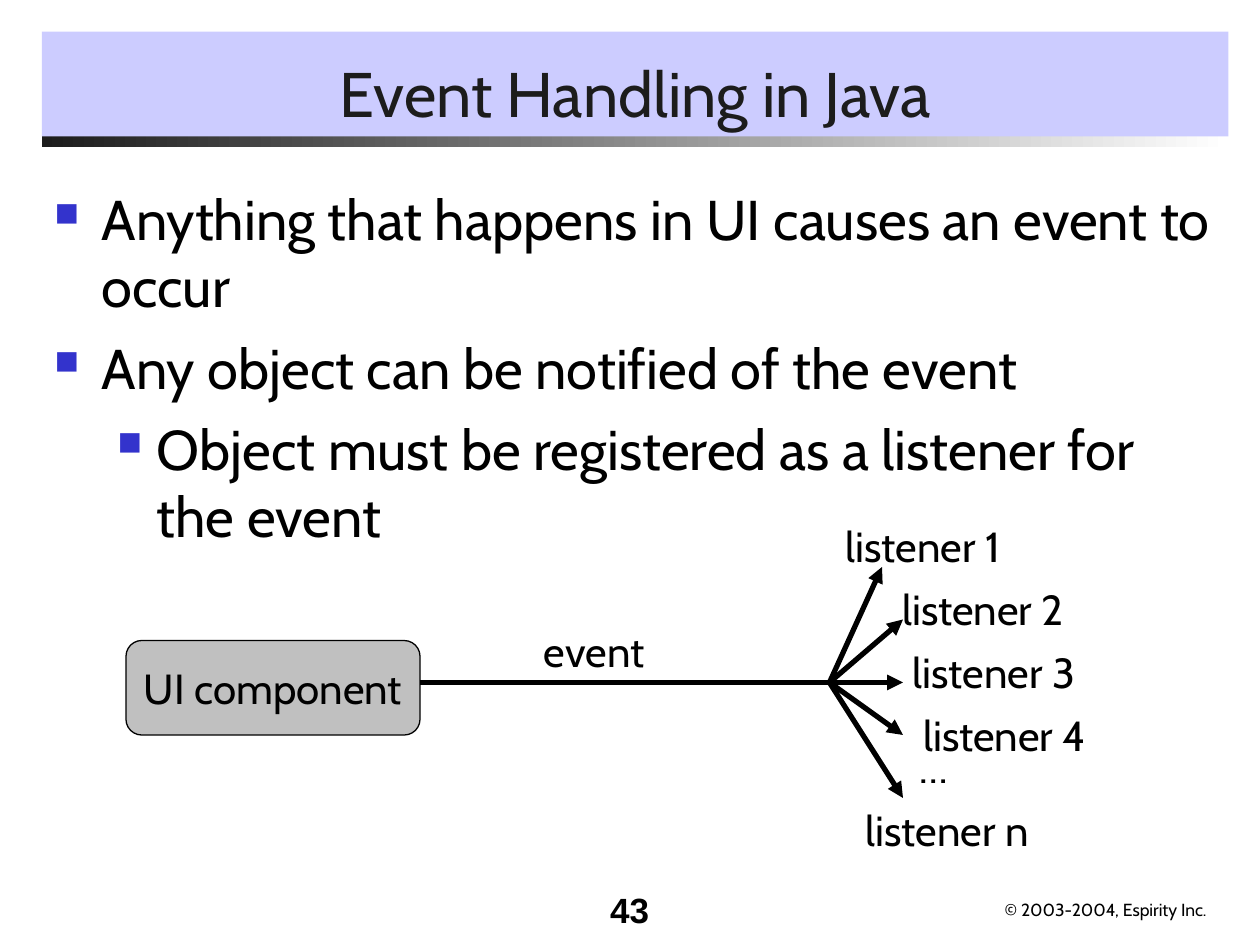
from dataclasses import dataclass

from lxml import etree
from pptx import Presentation
from pptx import util as u
from pptx.dml.color import RGBColor
from pptx.enum import shapes, text
from pptx.oxml import ns

PX = 9525


@dataclass(frozen=True)
class Theme:
    black: str = "000000"
    white: str = "FFFFFF"
    ink: str = "1C1C1C"
    band: str = "CCCCFF"
    bullet: str = "3333CC"
    component: str = "C0C0C0"
    font: str = "Cabin"
    number_font: str = "Arial"
    title: int = 36
    body: int = 32
    label: int = 24
    number: int = 20
    footer: int = 10
    thin: float = 0.75
    thick: float = 3


def rgb(color):
    return RGBColor.from_string(color)


def add_child(parent, tag, **attributes):
    return etree.SubElement(parent, ns.qn(tag), attributes)


class Deck:
    def __init__(self, theme, width, height):
        self.theme = theme
        self.presentation = Presentation()
        self.presentation.slide_width = width * PX
        self.presentation.slide_height = height * PX
        self.slide = self.presentation.slides.add_slide(self.presentation.slide_layouts[6])

    def style(self, paragraph, size, color=None, font=None, bold=False):
        paragraph.font.name = font or self.theme.font
        paragraph.font.size = u.Pt(size)
        paragraph.font.color.rgb = rgb(color or self.theme.black)
        paragraph.font.bold = bold

    def set_text(self, shape, content, size, align=text.PP_ALIGN.LEFT,
                 anchor=text.MSO_ANCHOR.TOP, **style):
        shape.text_frame.word_wrap = True
        shape.text_frame.vertical_anchor = anchor
        paragraph = shape.text_frame.paragraphs[0]
        paragraph.text = content
        paragraph.alignment = align
        self.style(paragraph, size, **style)

    def box(self, kind, left, top, width, height, fill=None, line=None):
        shape = self.slide.shapes.add_shape(
            kind, left * PX, top * PX, width * PX, height * PX)
        shape.shadow.inherit = False
        if fill:
            shape.fill.solid()
            shape.fill.fore_color.rgb = rgb(fill)
        if line:
            shape.line.color.rgb = rgb(line)
            shape.line.width = u.Pt(self.theme.thin)
        else:
            shape.line.fill.background()
        return shape

    def gradient_bar(self, left, top, width, height, colors):
        shape = self.box(shapes.MSO_SHAPE.RECTANGLE, left, top, width, height)
        shape.fill.gradient()
        shape.fill.gradient_angle = 0
        for stop, color in zip(shape.fill.gradient_stops, colors):
            stop.color.rgb = rgb(color)

    def label(self, content, left, top, width, height=48, size=None, **style):
        shape = self.slide.shapes.add_textbox(left * PX, top * PX, width * PX, height * PX)
        self.set_text(shape, content, size or self.theme.label, **style)

    def bullets(self, items, left, top, width, height):
        shape = self.slide.shapes.add_textbox(left * PX, top * PX, width * PX, height * PX)
        frame = shape.text_frame
        frame.word_wrap = True
        indents = ((36, 36), (78, 30))
        for index, (level, content) in enumerate(items):
            paragraph = frame.add_paragraph() if index else frame.paragraphs[0]
            paragraph.text = content
            paragraph.level = level
            paragraph.space_before = u.Pt(8 if index else 0)
            margin, hanging = indents[level]
            properties = paragraph._p.get_or_add_pPr()
            properties.set("marL", str(margin * PX))
            properties.set("indent", str(-hanging * PX))
            add_child(add_child(properties, "a:buClr"), "a:srgbClr", val=self.theme.bullet)
            add_child(properties, "a:buSzPct", val="60000")
            add_child(properties, "a:buChar", char="■")
            self.style(paragraph, self.theme.body)

    def line(self, start, end, arrow=False):
        connector = self.slide.shapes.add_connector(
            shapes.MSO_CONNECTOR.STRAIGHT, *(value * PX for value in start + end))
        connector.line.color.rgb = rgb(self.theme.black)
        connector.line.width = u.Pt(self.theme.thick)
        if arrow:
            add_child(connector.line._get_or_add_ln(), "a:tailEnd", type="triangle")
        add_child(connector._element.spPr, "a:effectLst")


def main():
    theme = Theme()
    deck = Deck(theme, 960, 720)

    deck.gradient_bar(32, 104, 904, 8, (theme.ink, theme.white))
    deck.label("43", 424, 672, 80, size=theme.number, align=text.PP_ALIGN.RIGHT,
               font=theme.number_font, bold=True)
    deck.label("© 2003-2004, Espirity Inc.", 756, 680, 178, 26, size=theme.footer)

    title = deck.box(shapes.MSO_SHAPE.RECTANGLE, 32, 24, 904, 80, theme.band)
    deck.set_text(title, "Event Handling in Java", theme.title, text.PP_ALIGN.CENTER,
                  text.MSO_ANCHOR.BOTTOM, color=theme.ink)
    deck.bullets((
        (0, "Anything that happens in UI causes an event to occur"),
        (0, "Any object can be notified of the event"),
        (1, "Object must be registered as a listener for the event"),
    ), 32, 136, 908, 520)

    component = deck.box(shapes.MSO_SHAPE.ROUNDED_RECTANGLE, 96, 488, 224, 72,
                         theme.component, theme.black)
    deck.set_text(component, "UI component", theme.label, text.PP_ALIGN.CENTER,
                  text.MSO_ANCHOR.MIDDLE)

    hub = (632, 520)
    deck.line((320, 520), hub)
    deck.label("event", 405, 472, 103)
    for tip in ((672, 432), (688, 472), (688, 520), (688, 560), (688, 608)):
        deck.line(hub, tip, arrow=True)

    listeners = (("1", 635, 392), ("2", 678, 440), ("3", 686, 488),
                 ("4", 694, 536), ("n", 650, 608))
    for name, left, top in listeners:
        deck.label(f"listener {name}", left, top, 158)
    deck.label("…", 691, 560, 44)

    deck.presentation.save("out.pptx")


if __name__ == "__main__":
    main()
